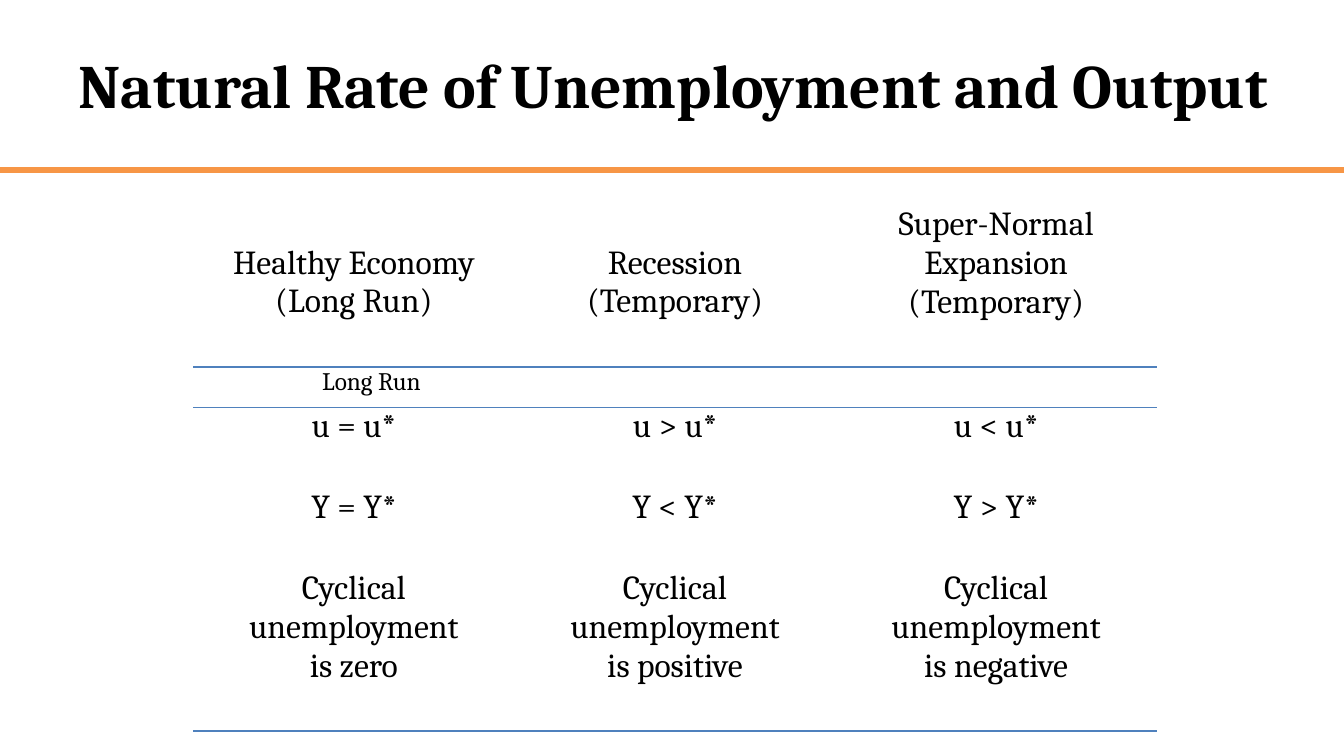
import pptx
import pptx.dml.color
import pptx.enum.shapes
import pptx.enum.text
import pptx.oxml
import pptx.oxml.ns
import pptx.util
from pptx.util import Cm, Pt

FONT = "Cambria"
BLACK = "000000"
ORANGE = "F79646"
BLUE = "4F81BD"
NO_STYLE = "{2D5ABB26-0587-4C30-8999-92F81FD0307C}"
CENTER = pptx.enum.text.PP_ALIGN.CENTER
LEFT = pptx.enum.text.PP_ALIGN.LEFT
SLIDE_WIDTH = 33.87

TALL_ROW, SHORT_ROW = 3.05, 1.02
HEADER_ROW, RULE_ROW, LAST_ROW = 0, 1, 8
ROW_HEIGHTS = [TALL_ROW] + [SHORT_ROW] * 6 + [TALL_ROW, SHORT_ROW]
CELL_TEXTS = {
    HEADER_ROW: [
        ["Healthy Economy", "(Long Run)"],
        ["Recession", "(Temporary)"],
        ["Super-Normal", "Expansion (Temporary)"],
    ],
    3: [["u = u*"], ["u > u*"], ["u < u*"]],
    5: [["Y = Y*"], ["Y < Y*"], ["Y > Y*"]],
    7: [["Cyclical unemployment", ending]
        for ending in ("is zero", "is positive", "is negative")],
}


def color(hex_string):
    return pptx.dml.color.RGBColor.from_string(hex_string)


def write_lines(text_frame, lines, size, alignment=CENTER, bold=False):
    for index, line in enumerate(lines):
        paragraph = text_frame.paragraphs[0] if index == 0 else text_frame.add_paragraph()
        paragraph.text = line
        paragraph.alignment = alignment
        paragraph.font.name = FONT
        paragraph.font.size = Pt(size)
        paragraph.font.bold = bold
        paragraph.font.color.rgb = color(BLACK)


def add_title(slide, left, top, width, height):
    shape = slide.shapes.add_textbox(Cm(left), Cm(top), Cm(width), Cm(height))
    shape.text_frame.word_wrap = True
    shape.text_frame.vertical_anchor = pptx.enum.text.MSO_ANCHOR.MIDDLE
    write_lines(shape.text_frame, ["Natural Rate of Unemployment and Output"], 44, bold=True)


def add_title_rule(slide, left, top, width):
    connector = slide.shapes.add_connector(
        pptx.enum.shapes.MSO_CONNECTOR.STRAIGHT,
        Cm(left), Cm(top), Cm(left + width), Cm(top))
    connector.line.color.rgb = color(ORANGE)
    connector.line.width = Pt(4.5)
    properties = connector.element.find(pptx.oxml.ns.qn("p:spPr"))
    properties.append(pptx.oxml.parse_xml(
        f'<a:effectLst {pptx.oxml.ns.nsdecls("a")}/>'))


def add_border(cell, side):
    border = pptx.oxml.parse_xml(
        f'<a:{side} {pptx.oxml.ns.nsdecls("a")} w="{Pt(1)}"><a:solidFill>'
        f'<a:srgbClr val="{BLUE}"/></a:solidFill></a:{side}>')
    cell._tc.get_or_add_tcPr().insert(0, border)


def add_comparison_table(slide, left, top, width):
    frame = slide.shapes.add_table(
        len(ROW_HEIGHTS), 3, Cm(left), Cm(top), Cm(width), Cm(sum(ROW_HEIGHTS)))
    frame.element.xpath(".//a:tableStyleId")[0].text = NO_STYLE
    table = frame.table
    table.first_row = False
    table.horz_banding = False
    for column in table.columns:
        column.width = Cm(width / 3)
    for row_index, height in enumerate(ROW_HEIGHTS):
        table.rows[row_index].height = Cm(height)
        texts = CELL_TEXTS.get(row_index, [[""]] * 3)
        for column_index, lines in enumerate(texts):
            cell = table.cell(row_index, column_index)
            cell.fill.background()
            cell.margin_left = cell.margin_right = Cm(0.18)
            cell.margin_top = cell.margin_bottom = 0
            if row_index == HEADER_ROW and column_index < 2:
                cell.margin_top = Cm(0.97)
            write_lines(cell.text_frame, lines, 24 if any(lines) else 18)
            if row_index in (RULE_ROW, LAST_ROW):
                add_border(cell, "lnB")
            if row_index == RULE_ROW + 1:
                add_border(cell, "lnT")


def add_long_run_label(slide, left, top, width, height):
    shape = slide.shapes.add_textbox(Cm(left), Cm(top), Cm(width), Cm(height))
    shape.text_frame.word_wrap = False
    shape.text_frame.auto_size = pptx.enum.text.MSO_AUTO_SIZE.SHAPE_TO_FIT_TEXT
    write_lines(shape.text_frame, ["Long Run"], 18, LEFT)


def main():
    presentation = pptx.Presentation()
    presentation.slide_width = Cm(SLIDE_WIDTH)
    presentation.slide_height = Cm(19.05)
    slide = presentation.slides.add_slide(presentation.slide_layouts[6])
    add_title_rule(slide, 0, 4.29, SLIDE_WIDTH)
    add_title(slide, 0.84, 0, 32.28, 4.24)
    add_comparison_table(slide, 4.87, 5.18, 24.28)
    add_long_run_label(slide, 7.87, 9.09, 3.12, 1.02)
    presentation.save("out.pptx")


if __name__ == "__main__":
    main()
